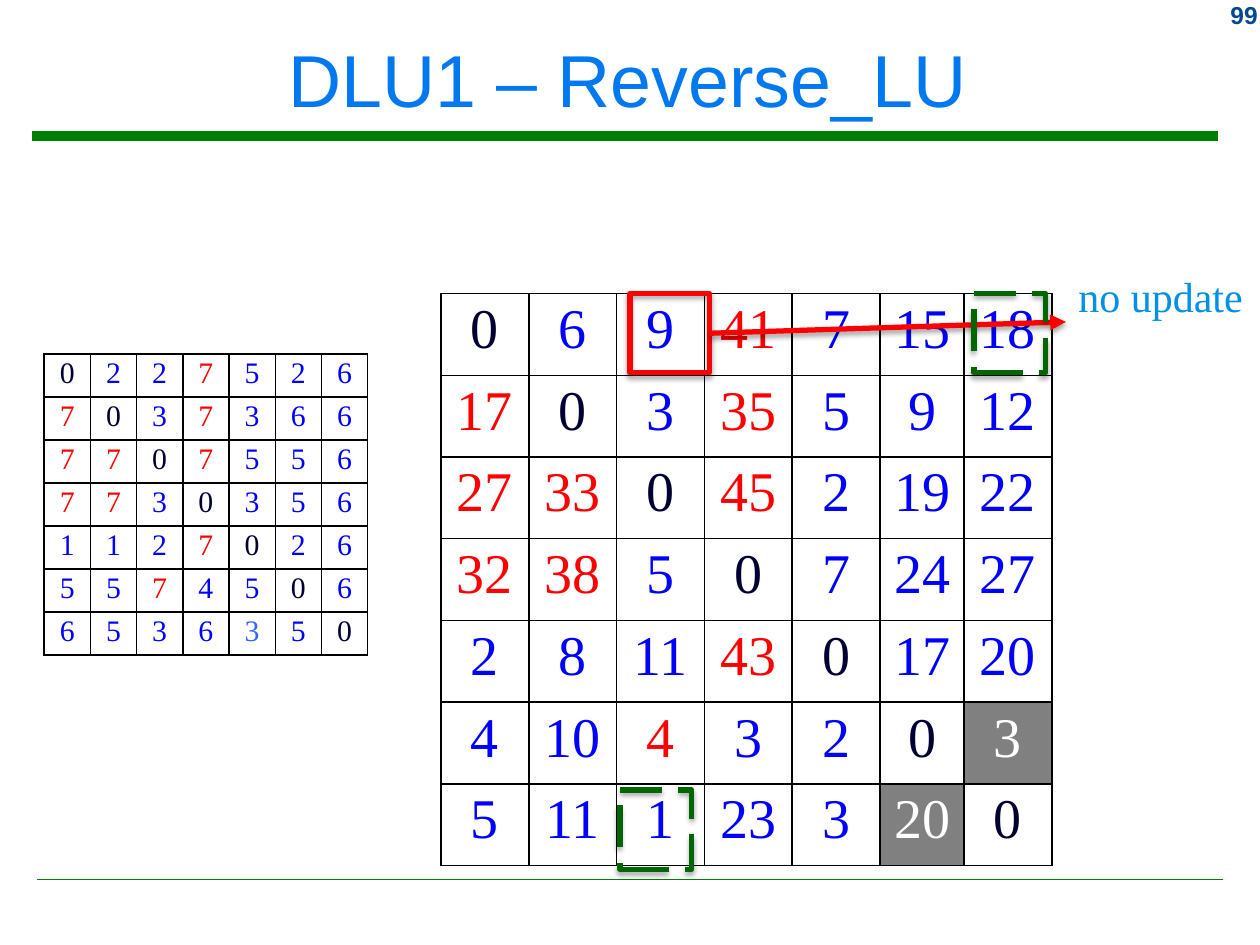
from dataclasses import dataclass

from lxml import etree
from pptx import Presentation
from pptx.dml.color import RGBColor
from pptx.enum.dml import MSO_LINE_DASH_STYLE as Dash
from pptx.enum.shapes import MSO_CONNECTOR as Connector, MSO_SHAPE as Shape
from pptx.enum.text import MSO_ANCHOR as Anchor, PP_ALIGN as Align
from pptx.oxml import parse_xml
from pptx.oxml.ns import qn
from pptx.util import Inches, Pt

DRAWING = 'xmlns:a="http://schemas.openxmlformats.org/drawingml/2006/main"'


@dataclass(frozen=True)
class Theme:
    """Colours, fonts and type sizes of the slide."""
    sans: str = "Arial"
    serif: str = "Times New Roman"
    title: str = "0078F0"
    page: str = "004992"
    rule: str = "008000"
    note: str = "0090E5"
    diagonal: str = "000033"
    value: str = "0000FF"
    changed: str = "3366FF"
    red: str = "FF0000"
    dashed: str = "006600"
    white: str = "FFFFFF"
    grey: str = "808080"
    black: str = "000000"
    title_size: float = 42
    page_size: float = 14
    note_size: float = 24
    cost_size: float = 32
    hop_size: float = 17


@dataclass(frozen=True)
class Box:
    """A region in inches."""
    left: float
    top: float
    width: float
    height: float

    def lengths(self):
        """Return the four sides as lengths."""
        return [Inches(side) for side in (self.left, self.top, self.width, self.height)]


THEME = Theme()
NO_PATH = 7
HOPS = [
    [0, 2, 2, 7, 5, 2, 6],
    [7, 0, 3, 7, 3, 6, 6],
    [7, 7, 0, 7, 5, 5, 6],
    [7, 7, 3, 0, 3, 5, 6],
    [1, 1, 2, 7, 0, 2, 6],
    [5, 5, 7, 4, 5, 0, 6],
    [6, 5, 3, 6, 3, 5, 0],
]
COSTS = [
    [0, 6, 9, 41, 7, 15, 18],
    [17, 0, 3, 35, 5, 9, 12],
    [27, 33, 0, 45, 2, 19, 22],
    [32, 38, 5, 0, 7, 24, 27],
    [2, 8, 11, 43, 0, 17, 20],
    [4, 10, 4, 3, 2, 0, 3],
    [5, 11, 1, 23, 3, 20, 0],
]
DONE_COSTS = {(5, 6), (6, 5)}
CHANGED_HOPS = {(6, 4)}


def rgb(colour):
    """Turn a hex string into a colour."""
    return RGBColor.from_string(colour)


def write(text_frame, text, font_name, size, colour, align=Align.LEFT, bold=False):
    """Put one formatted paragraph in a text frame."""
    text_frame.text = text
    paragraph = text_frame.paragraphs[0]
    paragraph.alignment = align
    font = paragraph.runs[0].font
    font.name, font.size, font.bold = font_name, Pt(size), bold
    font.color.rgb = rgb(colour)


def set_effects(shape, alpha=0, distance=0):
    """Give a shape a soft shadow below it, or no effect when alpha is zero."""
    shadow = (
        f'<a:outerShdw blurRad="{Pt(3.1)}" dist="{Pt(distance)}" dir="5400000" rotWithShape="0">'
        f'<a:srgbClr val="{THEME.black}"><a:alpha val="{alpha * 1000}"/></a:srgbClr></a:outerShdw>'
    ) if alpha else ""
    shape._element.spPr.append(parse_xml(f"<a:effectLst {DRAWING}>{shadow}</a:effectLst>"))


def add_line(slide, start, end, colour, weight):
    """Draw a straight line between two points in inches."""
    line = slide.shapes.add_connector(Connector.STRAIGHT, *map(Inches, start + end))
    line.line.color.rgb, line.line.width = rgb(colour), Pt(weight)
    return line


def add_heading(slide, box):
    """Format the title and draw the rules and page number around the slide."""
    title = slide.shapes.title
    title.left, title.top, title.width, title.height = box.lengths()
    title.text_frame.vertical_anchor = Anchor.MIDDLE
    write(title.text_frame, "DLU1 – Reverse_LU", THEME.sans, THEME.title_size, THEME.title, Align.CENTER)
    for left, top, weight in ((0.25, 1.08, 5.25), (0.29, 6.98, 1)):
        set_effects(add_line(slide, (left, top), (left + 9.42, top), THEME.rule, weight))
    number = slide.shapes.add_textbox(*Box(9.17, -0.05, 0.91, 0.33).lengths())
    number.text_frame.word_wrap = True
    write(number.text_frame, "99", THEME.sans, THEME.page_size, THEME.page, Align.RIGHT, True)


def add_borders(cell):
    """Draw a thin black line on each side of a cell."""
    properties = cell._tc.get_or_add_tcPr()
    for side in ("lnL", "lnR", "lnT", "lnB"):
        border = etree.SubElement(properties, qn(f"a:{side}"), w=str(Pt(1)))
        fill = etree.SubElement(border, qn("a:solidFill"))
        etree.SubElement(fill, qn("a:srgbClr"), val=THEME.black)


def value_colour(row, column):
    """Choose a number's colour from its place and its hop."""
    if row == column:
        return THEME.diagonal
    return THEME.red if HOPS[row][column] == NO_PATH else THEME.value


def add_matrix(slide, box, values, size, margins, weights, special, special_text, special_fill):
    """Fill a box with a bordered table of numbers."""
    table = slide.shapes.add_table(len(values), len(weights), *box.lengths()).table
    table.first_row = table.horz_banding = False
    for column, weight in zip(table.columns, weights):
        column.width = Inches(box.width * weight / sum(weights))
    for row, numbers in enumerate(values):
        table.rows[row].height = Inches(box.height / len(values))
        for column, number in enumerate(numbers):
            cell = table.cell(row, column)
            is_special = (row, column) in special
            cell.margin_left = cell.margin_right = Inches(margins[0])
            cell.margin_top = cell.margin_bottom = Inches(margins[1])
            add_borders(cell)
            cell.fill.solid()
            cell.fill.fore_color.rgb = rgb(special_fill if is_special else THEME.white)
            colour = special_text if is_special else value_colour(row, column)
            write(cell.text_frame, str(number), THEME.serif, size, colour, Align.CENTER)


def add_frame(slide, box, colour, dash=None):
    """Outline a box around a cell."""
    frame = slide.shapes.add_shape(Shape.RECTANGLE, *box.lengths())
    frame.fill.background()
    frame.line.color.rgb, frame.line.width = rgb(colour), Pt(3)
    if dash:
        frame.line.dash_style = dash
    set_effects(frame, 35, 1.8)
    return frame


def add_no_update(slide, box):
    """Frame the checked cell and point from it to its note."""
    frame = add_frame(slide, Box(box.left, box.top + 0.23, 0.63, 0.63), THEME.red)
    note = slide.shapes.add_textbox(*Box(box.left + 3.46, box.top, box.width - 3.46, box.height).lengths())
    note.text_frame.word_wrap = False
    write(note.text_frame, "no update", THEME.serif, THEME.note_size, THEME.note)
    arrow = add_line(slide, (0, 0), (1, 1), THEME.red, 3)
    arrow.begin_connect(frame, 3)
    arrow.end_connect(note, 1)
    etree.SubElement(arrow.line._get_or_add_ln(), qn("a:tailEnd"), type="triangle")
    set_effects(arrow, 38, 1.6)


def main():
    """Build and save the slide."""
    presentation = Presentation()
    presentation.slide_width, presentation.slide_height = Inches(10), Inches(7.5)
    slide = presentation.slides.add_slide(presentation.slide_layouts[5])
    add_heading(slide, Box(0.08, 0.09, 9.8, 1.06))
    add_matrix(slide, Box(3.5, 2.33, 4.85, 4.54), COSTS, THEME.cost_size, (0.09, 0.04),
               [0.7] * 5 + [0.67, 0.7], DONE_COSTS, THEME.white, THEME.grey)
    add_no_update(slide, Box(5, 2.1, 4.98, 0.91))
    for left, top in ((4.92, 6.27), (7.73, 2.33)):
        add_frame(slide, Box(left, top, 0.57, 0.63), THEME.dashed, Dash.LONG_DASH)
    add_matrix(slide, Box(0.35, 2.81, 2.57, 2.39), HOPS, THEME.hop_size, (0.05, 0.02),
               [1] * 7, CHANGED_HOPS, THEME.changed, THEME.white)
    presentation.save("out.pptx")


if __name__ == "__main__":
    main()
